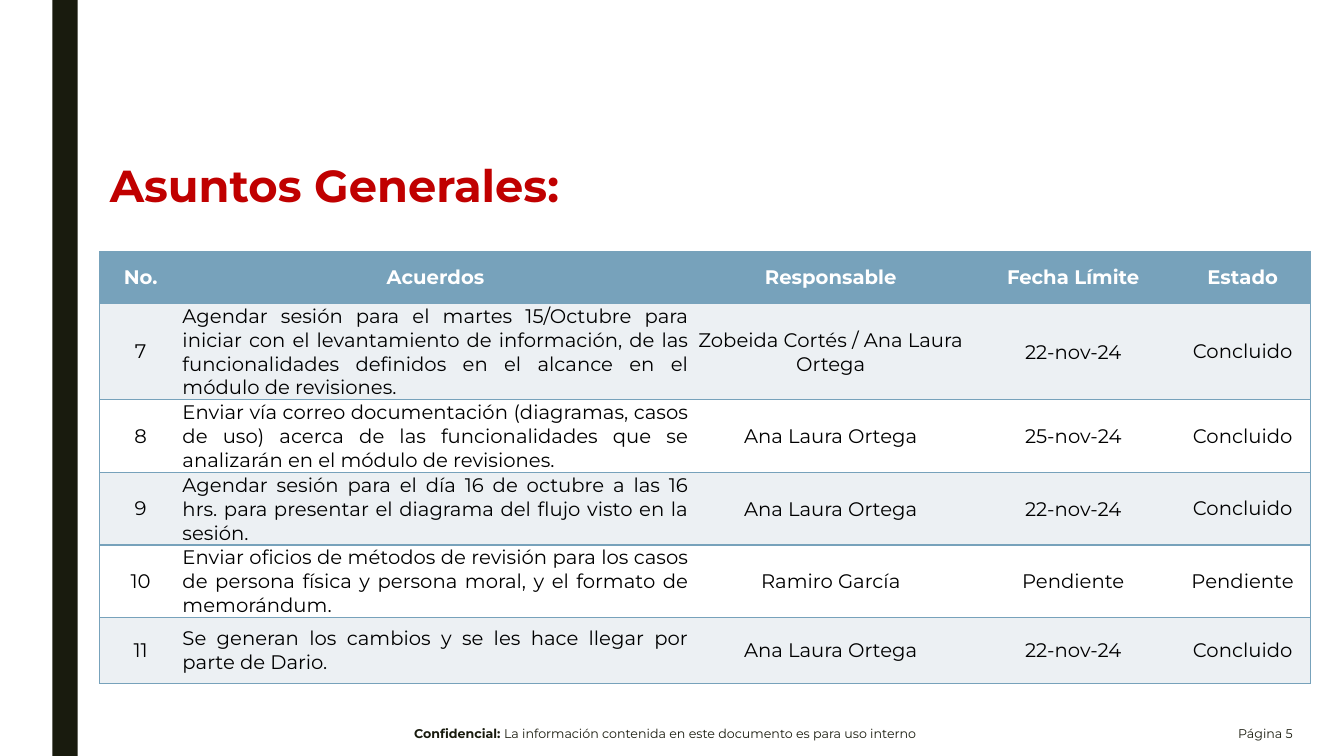
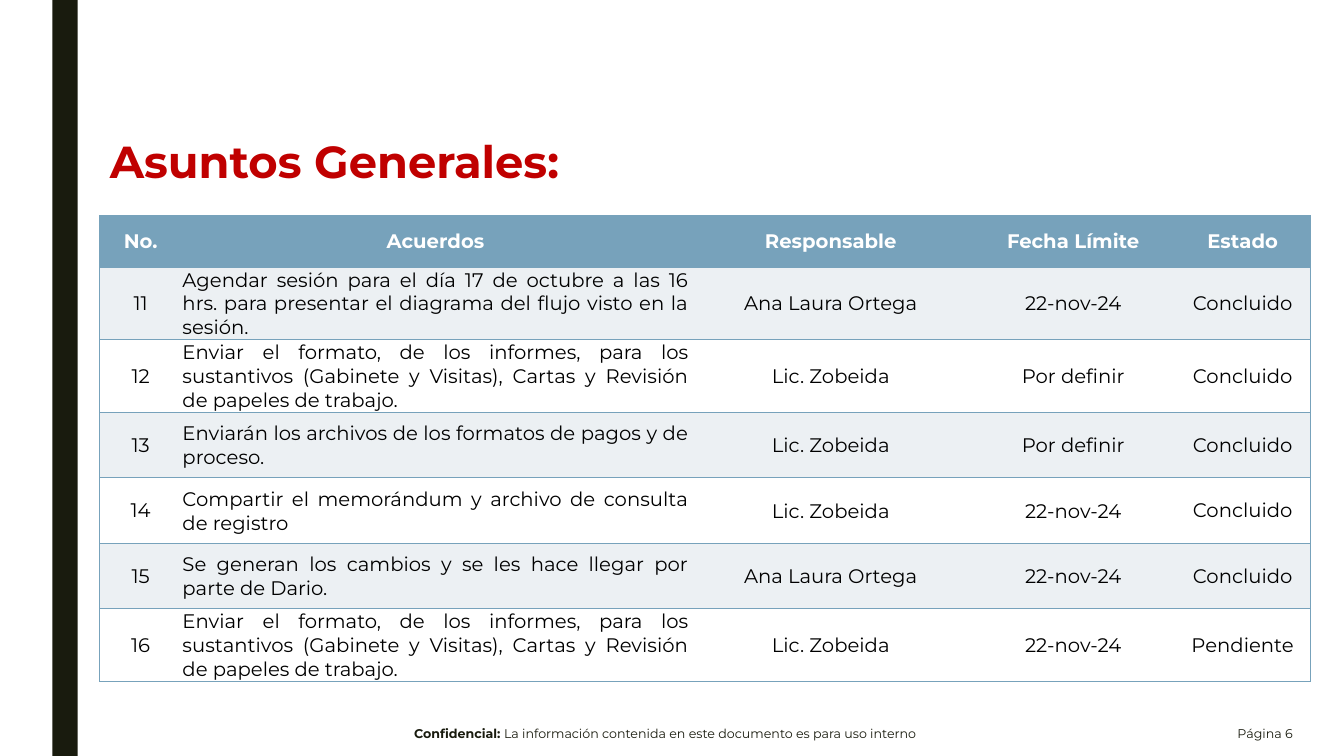
from dataclasses import dataclass
from typing import Any

import lxml.etree
import pptx
import pptx.dml.color
import pptx.enum.shapes
import pptx.enum.text
import pptx.oxml.ns
import pptx.presentation
import pptx.slide
import pptx.table
import pptx.text.text
import pptx.util

Inches = pptx.util.Inches
ALIGN = pptx.enum.text.PP_ALIGN
ANCHOR = pptx.enum.text.MSO_ANCHOR
qn = pptx.oxml.ns.qn

COLORS = {
    "band": "191B0E",
    "title": "C00000",
    "table": "77A2BB",
    "odd_row": "ECF0F3",
    "even_row": "FFFFFF",
    "header_text": "FFFFFF",
    "body_text": "000000",
}
FONT = "Montserrat"
TITLE_FONT = {"name": FONT, "size": pptx.util.Pt(32), "bold": True}
HEADER_FONT = {"name": FONT, "size": pptx.util.Pt(14), "bold": True}
BODY_FONT = {**HEADER_FONT, "bold": False}
FOOTER_FONT = {"name": FONT, "size": pptx.util.Pt(9), "bold": False}

LEFT = 0.99
FOOTER_TOP, FOOTER_HEIGHT = 7.06, 0.44
HEADER_HEIGHT = 0.51
SHORT_ROWS = 2  # body rows as low as the header


@dataclass(frozen=True)
class Column:
    heading: str
    width: float
    inset_x: float
    inset_top: float
    inset_bottom: float
    align: Any = ALIGN.CENTER


@dataclass(frozen=True)
class Agreement:
    number: int
    text: str
    owner: str
    due: str
    status: str = "Concluido"

    def cells(self) -> list[str]:
        return [str(self.number), self.text, self.owner, self.due, self.status]


@dataclass(frozen=True)
class AgreementSlide:
    page: int
    title_top: float
    table_top: float
    agreements: list[Agreement]


COLUMNS = [
    Column("No.", 0.81, 0.1, 0.05, 0.05),
    Column("Acuerdos", 5.04, 0.01, 0.01, 0, ALIGN.JUSTIFY),
    Column("Responsable", 2.8, 0.01, 0.01, 0),
    Column("Fecha Límite", 2.01, 0.01, 0.01, 0),
    Column("Estado", 1.35, 0.02, 0, 0),
]

ANA = "Ana Laura Ortega"
ZOBEIDA = "Lic. Zobeida"
CHANGES = "Se generan los cambios y se les hace llegar por parte de Dario."
REPORTS = ("Enviar el formato, de los informes, para los sustantivos (Gabinete y "
           "Visitas), Cartas y Revisión de papeles de trabajo.")
SESSION = ("Agendar sesión para el día {} de octubre a las 16 hrs. para presentar "
           "el diagrama del flujo visto en la sesión.")

SLIDES = [
    AgreementSlide(5, 1.57, 2.5, [
        Agreement(7, "Agendar sesión para el martes 15/Octubre para iniciar con el "
                  "levantamiento de información, de las funcionalidades definidos en "
                  "el alcance en el módulo de revisiones.",
                  "Zobeida Cortés / Ana Laura Ortega", "22-nov-24"),
        Agreement(8, "Enviar vía correo documentación (diagramas, casos de uso) acerca "
                  "de las funcionalidades que se analizarán en el módulo de revisiones.",
                  ANA, "25-nov-24"),
        Agreement(9, SESSION.format(16), ANA, "22-nov-24"),
        Agreement(10, "Enviar oficios de métodos de revisión para los casos de persona "
                  "física y persona moral, y el formato de memorándum.",
                  "Ramiro García", "Pendiente", "Pendiente"),
        Agreement(11, CHANGES, ANA, "22-nov-24"),
    ]),
    AgreementSlide(6, 1.34, 2.14, [
        Agreement(11, SESSION.format(17), ANA, "22-nov-24"),
        Agreement(12, REPORTS, ZOBEIDA, "Por definir"),
        Agreement(13, "Enviarán los archivos de los formatos de pagos y de proceso.",
                  ZOBEIDA, "Por definir"),
        Agreement(14, "Compartir el memorándum y archivo de consulta de registro",
                  ZOBEIDA, "22-nov-24"),
        Agreement(15, CHANGES, ANA, "22-nov-24"),
        Agreement(16, REPORTS, ZOBEIDA, "22-nov-24", "Pendiente"),
    ]),
]


def rgb(key: str) -> pptx.dml.color.RGBColor:
    return pptx.dml.color.RGBColor.from_string(COLORS[key])


def set_attributes(obj: Any, values: dict[str, Any]) -> None:
    for name, value in values.items():
        setattr(obj, name, value)


def add_run(p: pptx.text.text._Paragraph, text: str, font: dict[str, Any],
            color: str) -> None:
    r = p.add_run()
    r.text = text
    set_attributes(r.font, font)
    r.font.color.rgb = rgb(color)


def add_layout_band(layout: pptx.slide.SlideLayout, slide: pptx.slide.Slide) -> None:
    """Draw the side band and move it to the layout, so every slide shows it."""
    sp = slide.shapes.add_shape(pptx.enum.shapes.MSO_SHAPE.RECTANGLE,
                                Inches(0.52), Inches(0), Inches(0.25), Inches(7.5))
    sp.shadow.inherit = False
    sp.fill.solid()
    sp.fill.fore_color.rgb = rgb("band")
    sp.line.fill.background()
    layout.shapes.element.append(sp.element)


def add_title(slide: pptx.slide.Slide, top: float) -> None:
    sp = slide.shapes.title
    set_attributes(sp, {"left": Inches(LEFT), "top": Inches(top),
                        "width": Inches(5.83), "height": Inches(0.59)})
    tf = sp.text_frame
    set_attributes(tf, {"vertical_anchor": ANCHOR.TOP, "word_wrap": True,
                        "auto_size": pptx.enum.text.MSO_AUTO_SIZE.NONE})
    p = tf.paragraphs[0]
    set_attributes(p, {"alignment": ALIGN.JUSTIFY, "line_spacing": 0.9})
    add_run(p, "Asuntos Generales:", TITLE_FONT, "title")


def add_footer_box(slide: pptx.slide.Slide, left: float, width: float,
                   align: Any) -> pptx.text.text._Paragraph:
    sp = slide.shapes.add_textbox(Inches(left), Inches(FOOTER_TOP),
                                  Inches(width), Inches(FOOTER_HEIGHT))
    tf = sp.text_frame
    set_attributes(tf, {"word_wrap": True, "vertical_anchor": ANCHOR.MIDDLE})
    p = tf.paragraphs[0]
    p.alignment = align
    return p


def add_footer(slide: pptx.slide.Slide, page: int) -> None:
    p = add_footer_box(slide, 3.16, 6.87, ALIGN.CENTER)
    add_run(p, "Confidencial: ", {**FOOTER_FONT, "bold": True}, "band")
    add_run(p, "La información contenida en este documento es para uso interno",
            FOOTER_FONT, "band")
    p = add_footer_box(slide, 11.17, 1.75, ALIGN.RIGHT)
    add_run(p, f"Página {page}", FOOTER_FONT, "band")


def set_borders(cell: pptx.table._Cell, sides: str) -> None:
    """Rule the given sides (letters of LRTB) and clear the others."""
    tc_pr = cell._tc.get_or_add_tcPr()
    for side in "LRTB":
        ln = lxml.etree.SubElement(tc_pr, qn(f"a:ln{side}"),
                                   w=str(pptx.util.Pt(1)))
        if side in sides:
            fill = lxml.etree.SubElement(ln, qn("a:solidFill"))
            lxml.etree.SubElement(fill, qn("a:srgbClr"), val=COLORS["table"])
        else:
            lxml.etree.SubElement(ln, qn("a:noFill"))


def fill_cell(cell: pptx.table._Cell, text: str, row: int, col: int) -> None:
    column = COLUMNS[col]
    is_header = row == 0
    sides = "TB" + "L" * (col == 0) + "R" * (col == len(COLUMNS) - 1)
    set_borders(cell, sides)
    cell.fill.solid()
    row_color = "odd_row" if row % 2 else "even_row"
    cell.fill.fore_color.rgb = rgb("table" if is_header else row_color)
    cell.vertical_anchor = ANCHOR.MIDDLE
    if not is_header:
        set_attributes(cell, {"margin_left": Inches(column.inset_x),
                              "margin_right": Inches(column.inset_x),
                              "margin_top": Inches(column.inset_top),
                              "margin_bottom": Inches(column.inset_bottom)})
    p = cell.text_frame.paragraphs[0]
    p.alignment = ALIGN.CENTER if is_header else column.align
    add_run(p, text, HEADER_FONT if is_header else BODY_FONT,
            "header_text" if is_header else "body_text")


def add_agreements(slide: pptx.slide.Slide, top: float,
                   agreements: list[Agreement]) -> None:
    rows = [[c.heading for c in COLUMNS]] + [a.cells() for a in agreements]
    heights = [HEADER_HEIGHT if i <= SHORT_ROWS else 0.65 for i in range(len(rows))]
    width = sum(c.width for c in COLUMNS)
    table = slide.shapes.add_table(len(rows), len(COLUMNS), Inches(LEFT), Inches(top),
                                   Inches(width), Inches(sum(heights))).table
    for col, column in enumerate(COLUMNS):
        table.columns[col].width = Inches(column.width)
    for row, texts in enumerate(rows):
        table.rows[row].height = Inches(heights[row])
        for col, text in enumerate(texts):
            fill_cell(table.cell(row, col), text, row, col)


def main() -> None:
    prs = pptx.Presentation()
    prs.slide_width, prs.slide_height = Inches(13.33), Inches(7.5)
    layout = prs.slide_layouts.get_by_name("Title Only")
    for i, content in enumerate(SLIDES):
        s = prs.slides.add_slide(layout)
        if i == 0:
            add_layout_band(layout, s)
        add_title(s, content.title_top)
        add_agreements(s, content.table_top, content.agreements)
        add_footer(s, content.page)
    prs.save("out.pptx")


if __name__ == "__main__":
    main()
